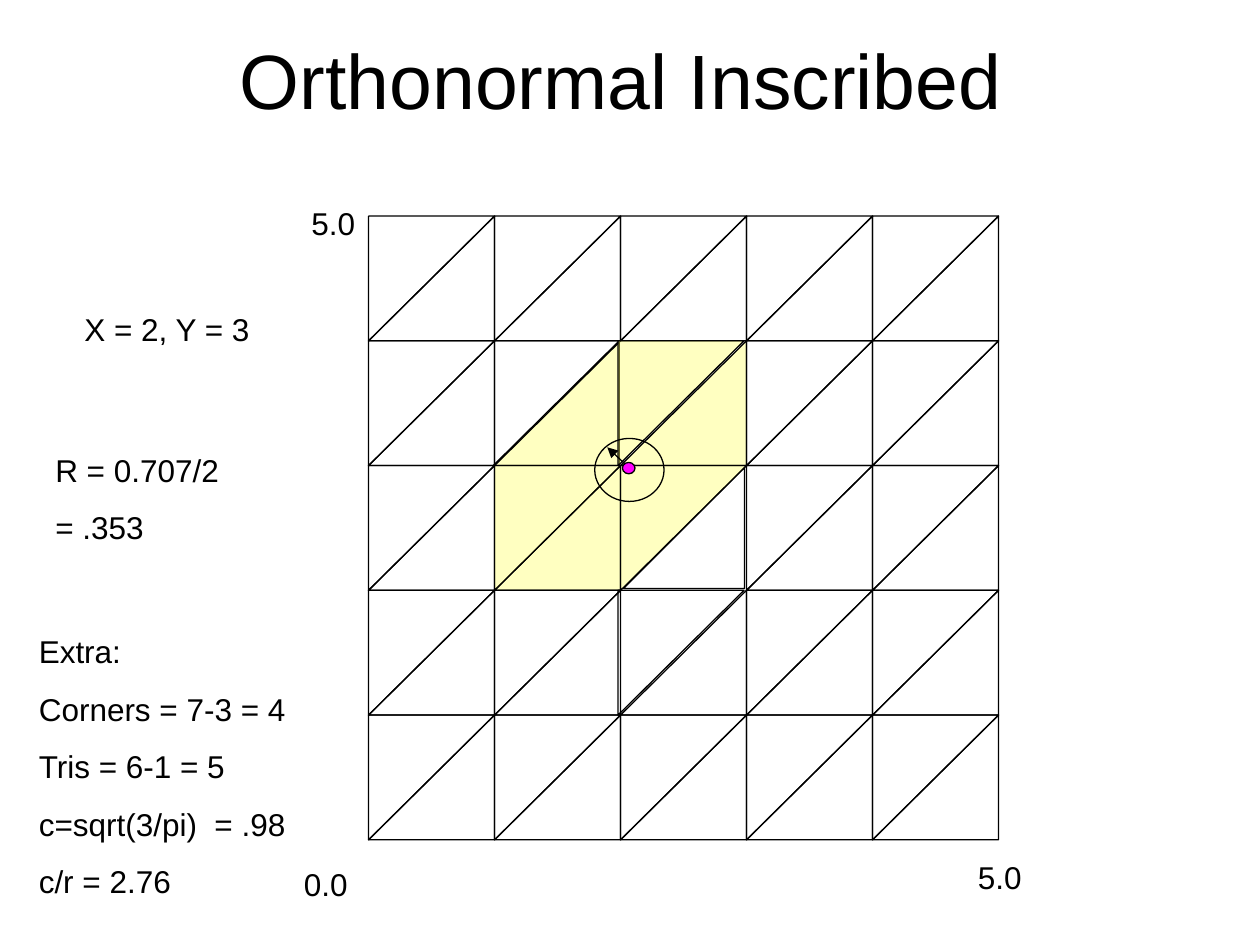
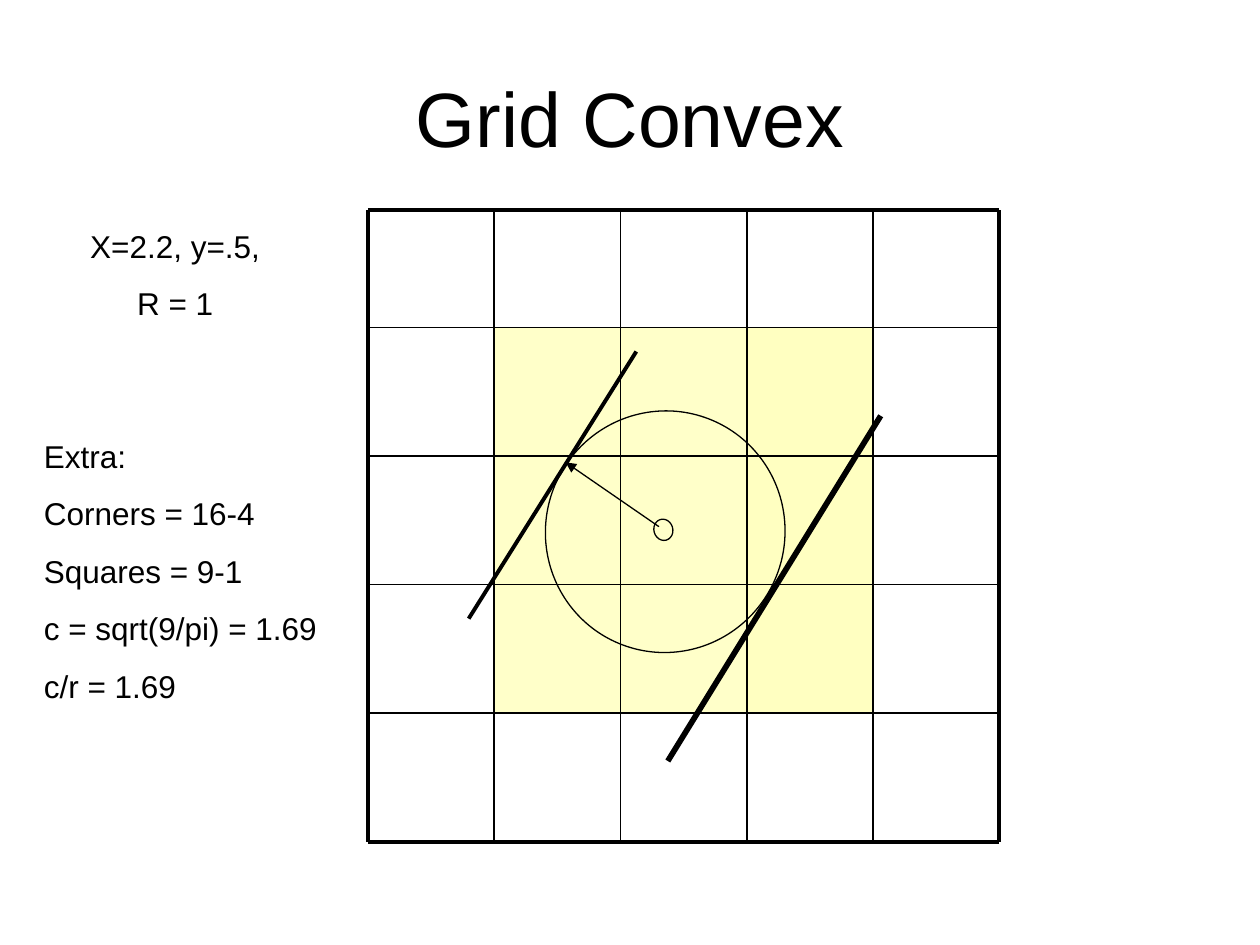
"""Builds two slides on circles over triangle and square grids."""
import pptx
import pptx.dml.color
import pptx.enum.shapes
import pptx.enum.text
import pptx.oxml
import pptx.oxml.ns
import pptx.util

Inches = pptx.util.Inches
Pt = pptx.util.Pt
SHAPE = pptx.enum.shapes.MSO_SHAPE
ALIGN = pptx.enum.text.PP_ALIGN
COLORS = {"ink": "000000", "cell": "FFFF66", "point": "FF00FF"}
FONT = "Arial"
CELLS = 5
UPPER_LEFT, LOWER_RIGHT = 90, 270
TOUCHED = {(1, 1, LOWER_RIGHT), (2, 1, UPPER_LEFT), (2, 1, LOWER_RIGHT),
           (1, 2, UPPER_LEFT), (1, 2, LOWER_RIGHT), (2, 2, UPPER_LEFT)}
NUDGES = {(2, 1, UPPER_LEFT): -0.02, (2, 3, UPPER_LEFT): -0.02,
          (1, 1, LOWER_RIGHT): -0.01}
INSET = (2, 2, LOWER_RIGHT)


def rgb(name):
    return pptx.dml.color.RGBColor.from_string(COLORS[name])


def style_text(p, size, align):
    p.font.name = FONT
    p.font.size = Pt(size)
    p.font.color.rgb = rgb("ink")
    p.alignment = align


def add_slide(prs, title, left, top):
    slide = prs.slides.add_slide(prs.slide_layouts[5])
    sp = slide.shapes.title
    sp.left, sp.top, sp.width, sp.height = map(Inches, (left, top, 9, 1.25))
    tf = sp.text_frame
    tf.text = title
    tf.vertical_anchor = pptx.enum.text.MSO_ANCHOR.MIDDLE
    style_text(tf.paragraphs[0], 44, ALIGN.CENTER)
    return slide


def add_text(slide, left, top, width, height, lines, align=ALIGN.LEFT):
    tf = slide.shapes.add_textbox(*map(Inches, (left, top, width, height))).text_frame
    tf.word_wrap = True
    for i, line in enumerate(lines):
        p = tf.paragraphs[0] if i == 0 else tf.add_paragraph()
        p.text = line
        p.space_before = Pt(11.2)
        style_text(p, 18, align)


def add_figure(slide, kind, left, top, width, height, fill=None, alpha=100,
               outlined=True, rotation=0):
    sp = slide.shapes.add_shape(kind, *map(Inches, (left, top, width, height)))
    sp.shadow.inherit = False
    sp.rotation = rotation
    if fill:
        sp.fill.solid()
        sp.fill.fore_color.rgb = rgb(fill)
        if alpha < 100:
            clr = sp._element.spPr.find(".//" + pptx.oxml.ns.qn("a:srgbClr"))
            clr.append(pptx.oxml.parse_xml(
                f'<a:alpha {pptx.oxml.ns.nsdecls("a")} val="{alpha * 1000}"/>'))
    else:
        sp.fill.background()
    if outlined:
        sp.line.color.rgb = rgb("ink")
        sp.line.width = Pt(0.75)
    else:
        sp.line.fill.background()


def add_line(slide, x1, y1, x2, y2, width, arrow=False):
    line = slide.shapes.add_connector(
        pptx.enum.shapes.MSO_CONNECTOR.STRAIGHT, *map(Inches, (x1, y1, x2, y2)))
    line.line.color.rgb = rgb("ink")
    line.line.width = Pt(width)
    ns = pptx.oxml.ns.nsdecls("a")
    if arrow:
        line.line._get_or_add_ln().append(
            pptx.oxml.parse_xml(f'<a:tailEnd {ns} type="triangle"/>'))
    line._element.spPr.append(pptx.oxml.parse_xml(f"<a:effectLst {ns}/>"))


def add_triangle_grid(slide, left, top):
    add_figure(slide, SHAPE.RIGHT_TRIANGLE, 4.95, 3.71, 0.96, 0.96,
               rotation=LOWER_RIGHT)
    for row in range(CELLS):
        for col in range(CELLS):
            for rotation in (LOWER_RIGHT, UPPER_LEFT):
                half = (col, row, rotation)
                if half == INSET:
                    continue
                add_figure(slide, SHAPE.RIGHT_TRIANGLE,
                           left + col + NUDGES.get(half, 0), top + 0.99 * row,
                           0.99, 1, "cell" if half in TOUCHED else None, 40,
                           rotation=rotation)


def add_square_grid(slide):
    xs = [2.92 + 1.002 * i for i in range(CELLS + 1)]
    ys = [1.67] + [2.6 + 1.02 * i for i in range(CELLS)]
    for y in ys[1:4]:
        for x, alpha in zip(xs[1:4], (35, 35, 40)):
            add_figure(slide, SHAPE.RECTANGLE, x, y, 1, 1.02, "cell", alpha, False)
    for i, (x, y) in enumerate(zip(xs, ys)):
        width = 2.25 if i in (0, CELLS) else 1
        add_line(slide, xs[0], y, xs[-1], y, width)
        add_line(slide, x, ys[0], x, ys[-1], width)


def build_orthonormal(prs):
    slide = add_slide(prs, "Orthonormal Inscribed", 0.43, 0)
    add_triangle_grid(slide, 2.93, 1.71)
    for left, top, label in ((2.03, 6.82, "0.0"), (2.09, 1.57, "5.0"),
                             (7.38, 6.76, "5.0")):
        add_text(slide, left, top, 1.11, 0.4, [label], ALIGN.CENTER)
    add_text(slide, 0.3, 2.41, 2.05, 0.4, ["X = 2, Y = 3"], ALIGN.CENTER)
    add_text(slide, 0.34, 3.53, 1.71, 0.86, ["R = 0.707/2", "= .353"])
    add_text(slide, 0.21, 4.97, 2.66, 2.23,
             ["Extra:", "Corners = 7-3 = 4", "Tris = 6-1 = 5",
              "c=sqrt(3/pi)  = .98", "c/r = 2.76"])
    add_line(slide, 5, 3.72, 4.82, 3.55, 0.75, arrow=True)
    add_figure(slide, SHAPE.OVAL, 4.72, 3.48, 0.55, 0.5)
    add_figure(slide, SHAPE.OVAL, 4.94, 3.67, 0.1, 0.09, "point")


def build_convex(prs):
    slide = add_slide(prs, "Grid Convex", 0.5, 0.3)
    add_square_grid(slide)
    add_line(slide, 5.05, 2.79, 3.72, 4.91, 2.25)
    add_figure(slide, SHAPE.OVAL, 4.32, 3.27, 1.92, 1.9, rotation=288.9)
    add_line(slide, 5.23, 4.18, 4.49, 3.67, 0.75, arrow=True)
    add_line(slide, 6.99, 3.3, 5.3, 6.04, 3.25)
    add_figure(slide, SHAPE.OVAL, 5.19, 4.12, 0.15, 0.17, rotation=344.3)
    add_text(slide, 0.58, 1.75, 1.62, 0.86, ["X=2.2, y=.5,", "R = 1"], ALIGN.CENTER)
    add_text(slide, 0.25, 3.42, 2.66, 2.23,
             ["Extra:", "Corners = 16-4", "Squares = 9-1",
              "c = sqrt(9/pi) = 1.69", "c/r = 1.69"])


def main():
    prs = pptx.Presentation()
    prs.slide_width, prs.slide_height = Inches(10), Inches(7.5)
    build_orthonormal(prs)
    build_convex(prs)
    prs.save("out.pptx")


if __name__ == "__main__":
    main()
